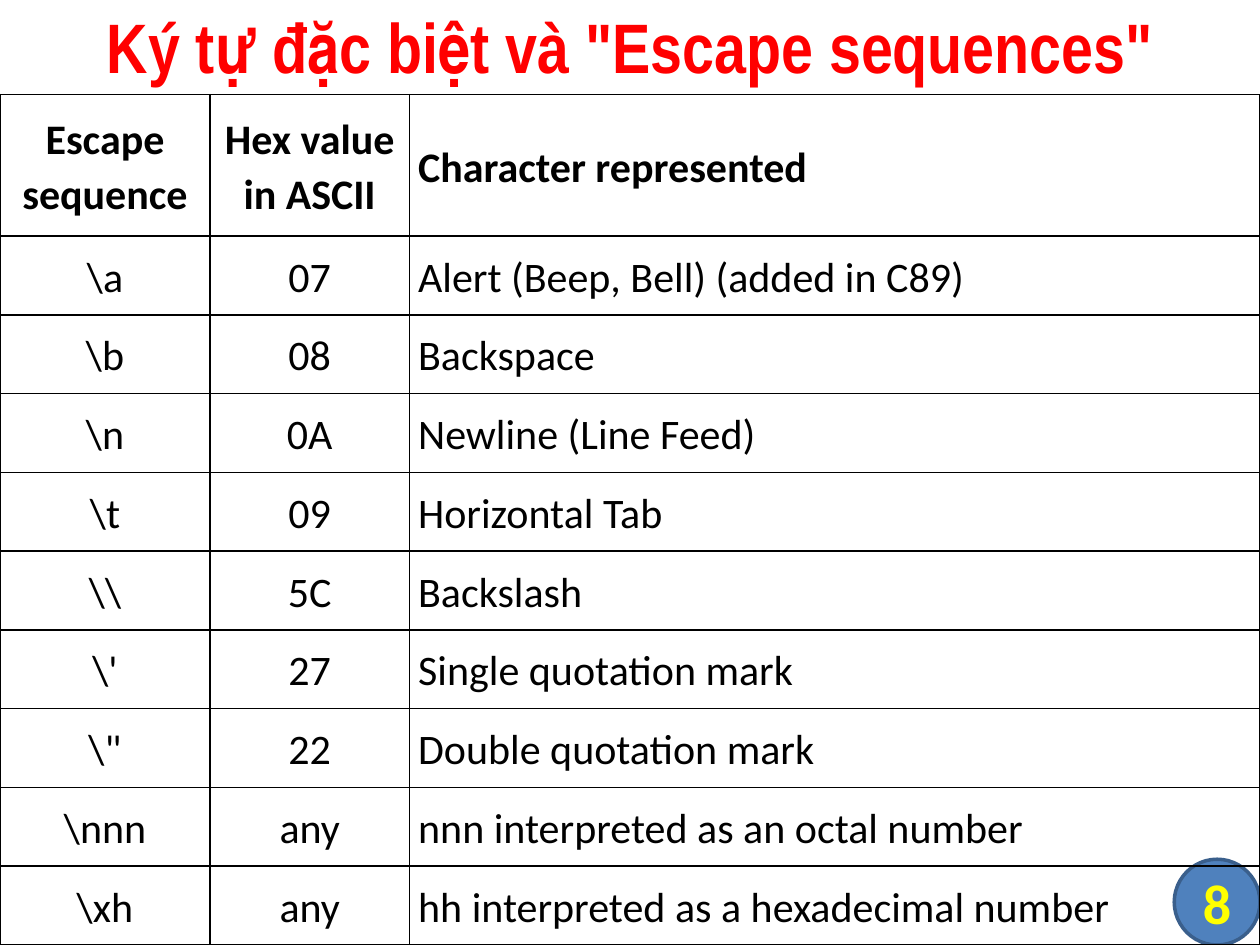
from lxml import etree
from pptx import Presentation
from pptx.dml.color import RGBColor
from pptx.enum import shapes, text
from pptx.oxml import ns
from pptx.util import Pt

RED = RGBColor(0xFF, 0x00, 0x00)
BLACK = RGBColor(0x00, 0x00, 0x00)
YELLOW = RGBColor(0xFF, 0xFF, 0x00)
BADGE_BLUE = RGBColor(0x4F, 0x81, 0xBD)
BADGE_EDGE = RGBColor(0x3A, 0x5F, 0x8C)
RULE_BLUE = RGBColor(0x4B, 0x7E, 0xBC)

WIDTH, HEIGHT = 720, 540
TABLE_TOP = 54
HEADER_HEIGHT, ROW_HEIGHT = 81, 45
COLUMN_WIDTHS = (120, 114, 486)
BADGE_SIZE = 49

ESCAPES = (
    ("Escape sequence", "Hex value in ASCII", "Character represented"),
    (r"\a", "07", "Alert (Beep, Bell) (added in C89)"),
    (r"\b", "08", "Backspace"),
    (r"\n", "0A", "Newline (Line Feed)"),
    (r"\t", "09", "Horizontal Tab"),
    (r"\\", "5C", "Backslash"),
    (r"\'", "27", "Single quotation mark"),
    (r'\"', "22", "Double quotation mark"),
    (r"\nnn", "any", "nnn interpreted as an octal number"),
    (r"\xh", "any", "hh interpreted as a hexadecimal number"),
)


def write(frame, words, *, size, color=BLACK, font="Calibri", bold=False,
          align=text.PP_ALIGN.CENTER, line_spacing=None, gap=0):
    paragraph = frame.paragraphs[0]
    paragraph.alignment = align
    paragraph.space_before = paragraph.space_after = Pt(gap)
    if line_spacing:
        paragraph.line_spacing = line_spacing
    run = paragraph.add_run()
    run.text = words
    run.font.name = font
    run.font.size = Pt(size)
    run.font.bold = bold
    run.font.color.rgb = color


def add_title(slide, words):
    title = slide.shapes.title
    title.left, title.top = Pt(0), Pt(-2)
    title.width, title.height = Pt(WIDTH), Pt(56)
    frame = title.text_frame
    frame.auto_size = text.MSO_AUTO_SIZE.NONE
    frame.vertical_anchor = text.MSO_ANCHOR.MIDDLE
    write(frame, words, size=40, color=RED, font="Arial Narrow", bold=True)


def add_rule(slide):
    rule = slide.shapes.add_connector(
        shapes.MSO_CONNECTOR.STRAIGHT, Pt(0), Pt(TABLE_TOP), Pt(WIDTH), Pt(TABLE_TOP))
    rule.line.color.rgb = RULE_BLUE
    rule.line.width = Pt(0.75)
    etree.SubElement(rule._element.spPr, ns.qn("a:effectLst"))


def add_page_badge(slide, number):
    box = (Pt(WIDTH - BADGE_SIZE), Pt(HEIGHT - BADGE_SIZE), Pt(BADGE_SIZE), Pt(BADGE_SIZE))
    badge = slide.shapes.add_shape(shapes.MSO_SHAPE.FLOWCHART_CONNECTOR, *box)
    badge.shadow.inherit = False
    badge.fill.solid()
    badge.fill.fore_color.rgb = BADGE_BLUE
    badge.line.color.rgb = BADGE_EDGE
    badge.line.width = Pt(2)
    frame = slide.shapes.add_textbox(*box).text_frame
    frame.word_wrap = True
    frame.vertical_anchor = text.MSO_ANCHOR.MIDDLE
    frame.margin_left = frame.margin_right = frame.margin_top = frame.margin_bottom = 0
    write(frame, number, size=32, color=YELLOW, bold=True)


def outline(cell):
    properties = cell._tc.get_or_add_tcPr()
    for position, side in enumerate(("lnL", "lnR", "lnT", "lnB")):
        border = etree.Element(ns.qn(f"a:{side}"), w=str(Pt(1)))
        fill = etree.SubElement(border, ns.qn("a:solidFill"))
        etree.SubElement(fill, ns.qn("a:srgbClr"), val=str(BLACK))
        properties.insert(position, border)


def format_cell(cell, words, *, bold, align):
    cell.fill.background()
    cell.vertical_anchor = text.MSO_ANCHOR.MIDDLE
    cell.margin_left = cell.margin_right = Pt(5)
    cell.margin_top, cell.margin_bottom = Pt(0.7), Pt(0)
    write(cell.text_frame, words, size=24, bold=bold, align=align,
          line_spacing=1.07, gap=3)
    outline(cell)


def add_escape_table(slide):
    escapes = slide.shapes.add_table(
        len(ESCAPES), len(COLUMN_WIDTHS), Pt(0), Pt(TABLE_TOP),
        Pt(WIDTH), Pt(HEIGHT - TABLE_TOP)).table
    escapes.first_row = escapes.horz_banding = False
    for column, width in zip(escapes.columns, COLUMN_WIDTHS):
        column.width = Pt(width)
    for r, entry in enumerate(ESCAPES):
        escapes.rows[r].height = Pt(ROW_HEIGHT if r else HEADER_HEIGHT)
        for c, words in enumerate(entry):
            align = text.PP_ALIGN.LEFT if c == 2 else text.PP_ALIGN.CENTER
            format_cell(escapes.cell(r, c), words, bold=r == 0, align=align)


def main():
    deck = Presentation()
    deck.slide_width, deck.slide_height = Pt(WIDTH), Pt(HEIGHT)
    slide = deck.slides.add_slide(deck.slide_layouts.get_by_name("Title Only"))
    add_title(slide, 'Ký tự đặc biệt và "Escape sequences"')
    add_rule(slide)
    add_page_badge(slide, "8")
    add_escape_table(slide)
    deck.save("out.pptx")


if __name__ == "__main__":
    main()
